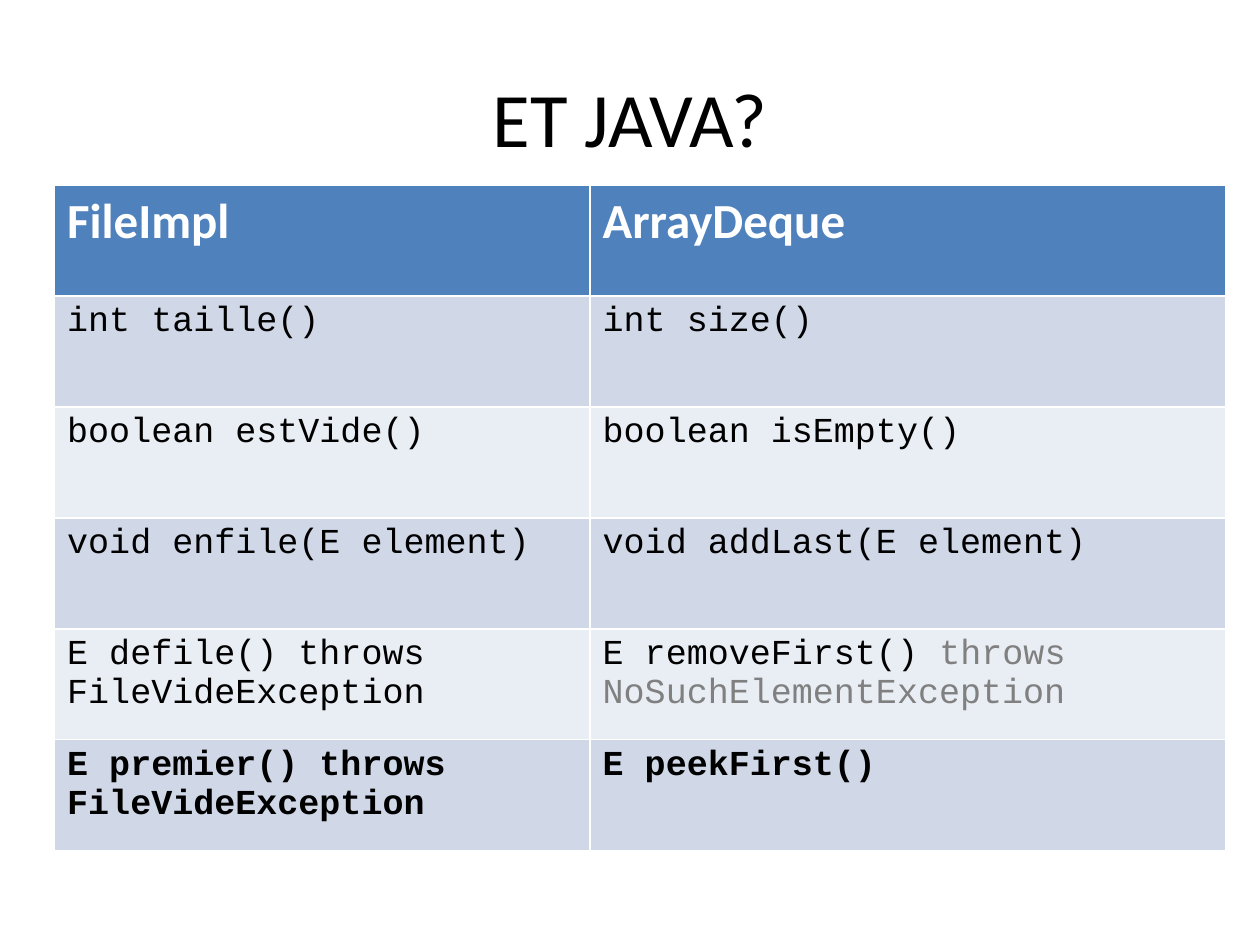
import pptx
import pptx.util
import pptx.dml.color
import pptx.enum.text
from dataclasses import dataclass

Pt = pptx.util.Pt


@dataclass(frozen=True)
class Theme:
    black: str = "000000"
    white: str = "FFFFFF"
    muted: str = "808080"
    header: str = "4F81BD"
    bands: tuple = ("D0D8E8", "E9EDF4")
    heading_font: str = "Calibri"
    code_font: str = "Courier New"
    title_size: float = 44
    header_size: float = 28
    code_size: float = 20


theme = Theme()


def add_run(paragraph, text, *, font, size, color=theme.black, bold=False):
    run = paragraph.add_run()
    run.text = text
    run.font.name = font
    run.font.size = Pt(size)
    run.font.bold = bold
    run.font.color.rgb = pptx.dml.color.RGBColor.from_string(color)


presentation = pptx.Presentation()
presentation.slide_width = Pt(720)
presentation.slide_height = Pt(540)
slide = presentation.slides.add_slide(presentation.slide_layouts[6])

# Title
title = slide.shapes.add_textbox(Pt(36), Pt(21.6), Pt(648), Pt(90)).text_frame
title.word_wrap = True
title.vertical_anchor = pptx.enum.text.MSO_ANCHOR.MIDDLE
title.paragraphs[0].alignment = pptx.enum.text.PP_ALIGN.CENTER
add_run(title.paragraphs[0], "ET JAVA?", font=theme.heading_font, size=theme.title_size)

# Method comparison: each cell is a list of paragraphs, each a list of (text, color)
methods = [
    ("FileImpl", "ArrayDeque"),
    ("int taille()", "int size()"),
    ("boolean estVide()", "boolean isEmpty()"),
    ("void enfile(E element)", "void addLast(E element)"),
    (
        "E defile() throws FileVideException",
        [
            [("E removeFirst() ", theme.black), ("throws", theme.muted)],
            [("NoSuchElementException", theme.muted)],
        ],
    ),
    ("E premier() throws FileVideException", "E peekFirst()"),
]
column_widths = (306, 363)
row_height = 63.4

table_shape = slide.shapes.add_table(
    len(methods), len(column_widths), Pt(31.2), Pt(105.8),
    Pt(sum(column_widths)), Pt(row_height * len(methods)),
)
table = table_shape.table
for column, width in zip(table.columns, column_widths):
    column.width = Pt(width)
for row in table.rows:
    row.height = Pt(row_height)
table_shape.height = Pt(395.3)

for row_index, signatures in enumerate(methods):
    is_header = row_index == 0
    is_last = row_index == len(methods) - 1
    fill_color = theme.header if is_header else theme.bands[(row_index - 1) % 2]
    text_color = theme.white if is_header else theme.black
    for column_index, signature in enumerate(signatures):
        cell = table.cell(row_index, column_index)
        cell.fill.solid()
        cell.fill.fore_color.rgb = pptx.dml.color.RGBColor.from_string(fill_color)
        lines = [[(signature, text_color)]] if isinstance(signature, str) else signature
        for line_index, line in enumerate(lines):
            frame = cell.text_frame
            paragraph = frame.add_paragraph() if line_index else frame.paragraphs[0]
            for text, color in line:
                add_run(
                    paragraph, text, color=color, bold=is_header or is_last,
                    font=theme.heading_font if is_header else theme.code_font,
                    size=theme.header_size if is_header else theme.code_size,
                )

presentation.save("out.pptx")
